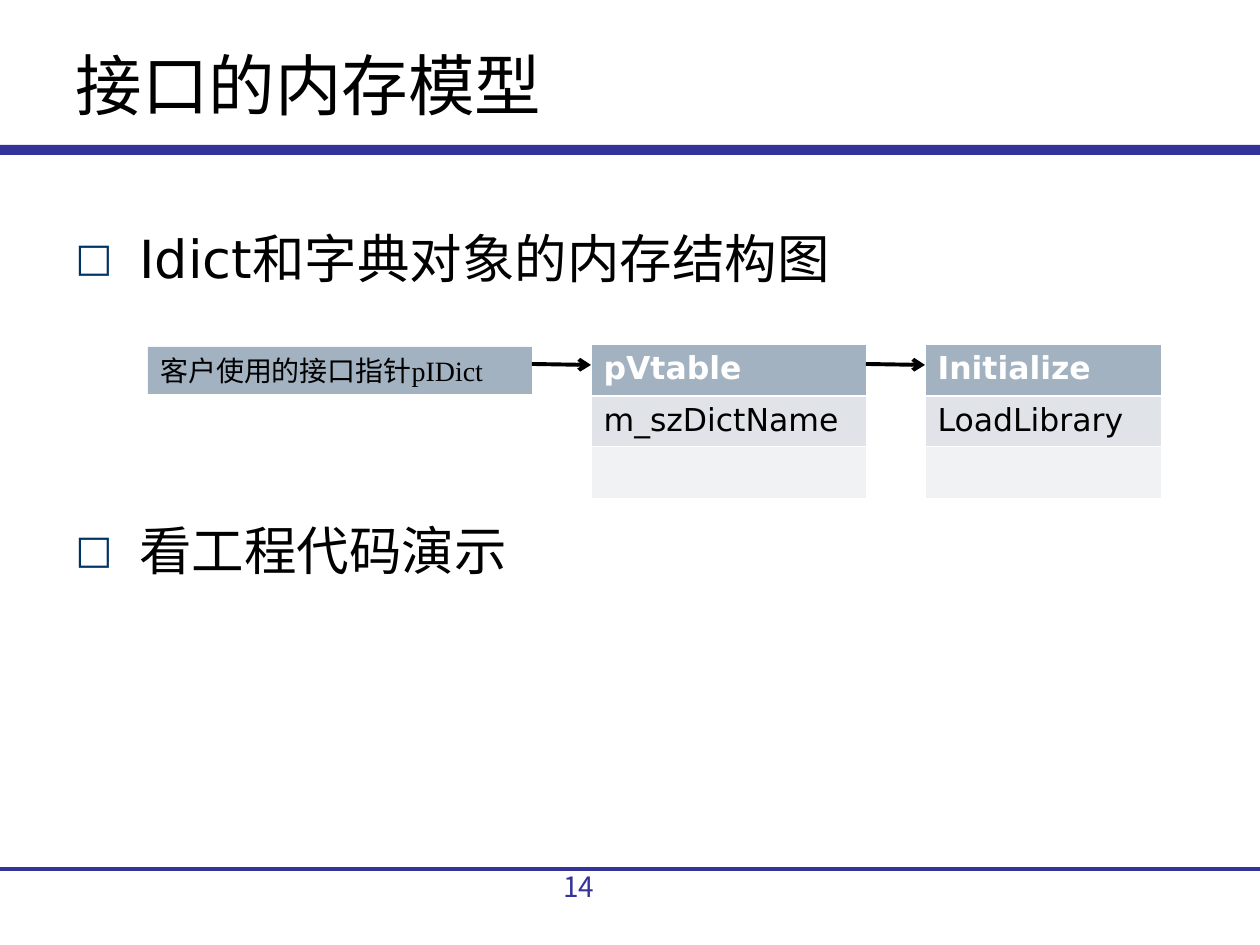
from lxml import etree
from pptx import Presentation
from pptx.dml.color import RGBColor
from pptx.enum.shapes import MSO_CONNECTOR, MSO_SHAPE
from pptx.enum.text import MSO_ANCHOR, MSO_AUTO_SIZE, PP_ALIGN
from pptx.oxml.ns import qn
from pptx.util import Emu, Pt

STRAIGHT = MSO_CONNECTOR.STRAIGHT
RECTANGLE = MSO_SHAPE.RECTANGLE
TOP, MIDDLE = MSO_ANCHOR.TOP, MSO_ANCHOR.MIDDLE
NO_AUTOFIT = MSO_AUTO_SIZE.NONE
LEFT = PP_ALIGN.LEFT

SANS, CJK, SERIF = "DejaVu Sans", "Noto Sans CJK SC", "Times New Roman"
NAVY, BULLET, BLACK, WHITE = "333399", "003366", "000000", "FFFFFF"
ROW_FILLS = ("A3B2C1", "E0E4E9", "F0F2F4")
ROW_HEIGHTS = (52, 50, 52)
THIN, THICK = 0.45, 1.47
FRAME = {"word_wrap": True, "auto_size": NO_AUTOFIT}


def px(length):
    return Emu(round(length * 914400 / 126))


def color(code):
    return RGBColor.from_string(code)


def apply(target, values):
    for name, value in values.items():
        setattr(target, name, value)


def add_xml(parent, tag, **attributes):
    return etree.SubElement(parent, qn(tag), attributes)


class MemoryModelSlide:
    """Holds the current slide and draws its elements in one style."""

    def __init__(self, presentation):
        self.slide = presentation.slides.add_slide(presentation.slide_layouts[5])
        self.shapes = self.slide.shapes

    def wording(self, paragraph, words, size, font=SANS, ink=BLACK, bold=False):
        paragraph.alignment = LEFT
        run = paragraph.add_run()
        run.text = words
        apply(run.font, {"size": Pt(size), "name": font, "bold": bold})
        run.font.color.rgb = color(ink)
        add_xml(run.font._element, "a:ea", typeface=CJK)

    def title(self, words, left, top, width, height):
        heading = self.shapes.title
        apply(heading, {"left": px(left), "top": px(top),
                        "width": px(width), "height": px(height)})
        apply(heading.text_frame, {**FRAME, "vertical_anchor": TOP})
        self.wording(heading.text_frame.paragraphs[0], words, 38)

    def text(self, left, top, width, height):
        frame = self.shapes.add_textbox(*map(px, (left, top, width, height))).text_frame
        apply(frame, FRAME)
        return frame

    def page_number(self, number, *box):
        self.wording(self.text(*box).paragraphs[0], number, 16, CJK, NAVY)

    def bullets(self, items, *box):
        frame = self.text(*box)
        for index, (words, space) in enumerate(items):
            paragraph = frame.add_paragraph() if index else frame.paragraphs[0]
            paragraph.space_before = Pt(space)
            properties = paragraph._p.get_or_add_pPr()
            properties.set("marL", str(px(64)))
            properties.set("indent", str(-px(64)))
            add_xml(add_xml(properties, "a:buClr"), "a:srgbClr", val=BULLET)
            add_xml(properties, "a:buSzPct", val="75000")
            add_xml(properties, "a:buFont", typeface=SANS)
            add_xml(properties, "a:buChar", char="□")
            self.wording(paragraph, words, 30)

    def bar(self, fill, left, top, width, height):
        bar = self.shapes.add_shape(RECTANGLE, *map(px, (left, top, width, height)))
        bar.shadow.inherit = False
        bar.fill.solid()
        bar.fill.fore_color.rgb = color(fill)
        bar.line.fill.background()
        return bar

    def pointer(self, words, *box):
        frame = self.bar(ROW_FILLS[0], *box).text_frame
        apply(frame, {**FRAME, "vertical_anchor": MIDDLE})
        self.wording(frame.paragraphs[0], words, 16, SERIF)

    def line(self, ink, *ends, arrow=False):
        line = self.shapes.add_connector(STRAIGHT, *map(px, ends))
        line.line.color.rgb = color(ink)
        line.line.width = Pt(2.25)
        if arrow:
            add_xml(line.line._get_or_add_ln(), "a:tailEnd", type="arrow")
        add_xml(line._element.spPr, "a:effectLst")

    def borders(self, cell, top, bottom):
        properties = cell._tc.get_or_add_tcPr()
        for side, width in zip("LRTB", (THIN, THIN, top, bottom)):
            edge = add_xml(properties, f"a:ln{side}", w=str(Pt(width)))
            add_xml(add_xml(edge, "a:solidFill"), "a:srgbClr", val=WHITE)

    def table(self, entries, left, top, width):
        box = map(px, (left, top, width, sum(ROW_HEIGHTS)))
        table = self.shapes.add_table(len(ROW_HEIGHTS), 1, *box).table
        apply(table, {"first_row": False, "horz_banding": False})
        for index, (height, fill) in enumerate(zip(ROW_HEIGHTS, ROW_FILLS)):
            header = index == 0
            table.rows[index].height = px(height)
            cell = table.cell(index, 0)
            self.borders(cell, THICK if index == 1 else THIN, THICK if header else THIN)
            cell.fill.solid()
            cell.fill.fore_color.rgb = color(fill)
            if index < len(entries):
                self.wording(cell.text_frame.paragraphs[0], entries[index], 18,
                             ink=WHITE if header else BLACK, bold=header)


def main():
    presentation = Presentation()
    apply(presentation, {"slide_width": px(1260), "slide_height": px(945)})
    model = MemoryModelSlide(presentation)
    model.bar(NAVY, 0, 145, 1260, 10)
    model.line(NAVY, 0, 869, 1260, 869)
    model.title("接口的内存模型", 63, 38, 1134, 158)
    model.page_number("14", 551, 863, 139, 66)
    model.bullets([("Idict和字典对象的内存结构图", 7.5), ("看工程代码演示", 131)],
                  63, 220, 1134, 624)
    model.table(("pVtable", "m_szDictName"), 591, 344, 275)
    model.pointer("客户使用的接口指针pIDict", 148, 347, 384, 47)
    model.table(("Initialize", "LoadLibrary"), 925, 344, 236)
    for start, end in ((866, 925), (532, 591)):
        model.line(BLACK, start, 364, end, 365, arrow=True)
    presentation.save("out.pptx")


if __name__ == "__main__":
    main()
